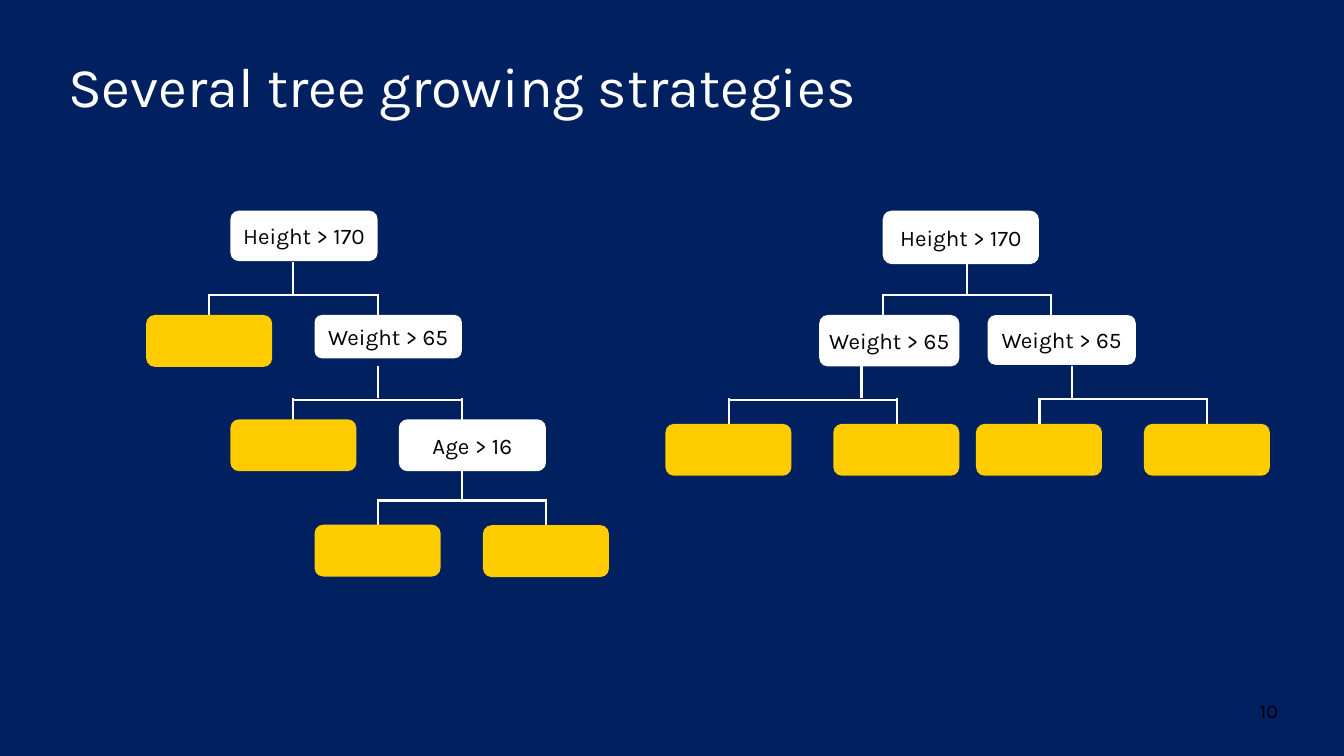
from pptx import Presentation
from pptx.dml.color import RGBColor
from pptx.enum.shapes import MSO_CONNECTOR, MSO_SHAPE
from pptx.enum.text import MSO_ANCHOR, PP_ALIGN
from pptx.oxml.ns import qn
from pptx.util import Inches, Pt
from lxml.etree import SubElement

NAVY, WHITE, YELLOW, BLACK = "002060", "FFFFFF", "FFCC00", "000000"


def color(value):
    return RGBColor.from_string(value)


class TreeSlide:
    """Holds the slide and the style of its elements."""

    font_name = "Karla"
    line_width = Pt(3)
    frame_format = {
        "word_wrap": True, "vertical_anchor": MSO_ANCHOR.MIDDLE,
        "margin_left": 0, "margin_right": 0, "margin_top": 0, "margin_bottom": 0,
    }

    def __init__(self, presentation):
        self.slide = presentation.slides.add_slide(presentation.slide_layouts[5])
        self.shapes = self.slide.shapes

    def start_group(self):
        self.shapes = self.slide.shapes.add_group_shape().shapes

    def set_text(self, shape, text, size, text_color, alignment, **frame_changes):
        for name, value in {**self.frame_format, **frame_changes}.items():
            setattr(shape.text_frame, name, value)
        paragraph = shape.text_frame.paragraphs[0]
        paragraph.alignment = alignment
        run = paragraph.add_run()
        run.text = text
        for name, value in {"name": self.font_name, "size": Pt(size)}.items():
            setattr(run.font, name, value)
        run.font.color.rgb = color(text_color)
        return paragraph

    def box(self, left, top, width, height, fill, kind=MSO_SHAPE.ROUNDED_RECTANGLE):
        shape = self.shapes.add_shape(kind, *map(Inches, (left, top, width, height)))
        shape.shadow.inherit = False
        shape.fill.solid()
        shape.fill.fore_color.rgb = color(fill)
        shape.line.fill.background()
        return shape

    def title(self, text):
        title = self.slide.shapes.title
        place = {"left": 1.25, "top": 0.83, "width": 24.2, "height": 1.65}
        for name, value in place.items():
            setattr(title, name, Inches(value))
        paragraph = self.set_text(title, text, 80, WHITE, PP_ALIGN.LEFT,
                                  margin_left=Inches(0.1))
        paragraph.line_spacing = Pt(100)

    def background(self):
        panel = self.box(-0.01, -0.01, 26.77, 15.35, NAVY, MSO_SHAPE.RECTANGLE)
        self.slide.shapes.title.element.addprevious(panel.element)

    def page_number(self, text):
        shape = self.shapes.add_textbox(*map(Inches, (24.2, 13.7, 1.15, 0.8)))
        self.set_text(shape, text, 28, BLACK, PP_ALIGN.RIGHT)

    def split(self, left, top, width, height, text):
        """A decision box with its question."""
        shape = self.box(left, top, width, height, WHITE)
        self.set_text(shape, text, 32, BLACK, PP_ALIGN.CENTER)

    def leaf(self, left, top):
        self.box(left, top, 2.5, 1.03, YELLOW)

    def line(self, x1, y1, x2, y2):
        connector = self.shapes.add_connector(
            MSO_CONNECTOR.STRAIGHT, *map(Inches, (x1, y1, x2, y2)))
        connector.line.color.rgb = color(WHITE)
        connector.line.width = self.line_width
        SubElement(connector.element.spPr, qn("a:effectLst"))

    def branch(self, stem, top, left, right, bottom):
        """A stem, a crossbar and a drop to each of two children."""
        fork = top + 0.63
        bar = fork + 0.03
        self.line(stem, top, stem, fork)
        self.line(left, bar, right, bar)
        for x in (left, right):
            self.line(x, fork, x, bottom)


def main():
    presentation = Presentation()
    presentation.slide_width = Inches(26.66)
    presentation.slide_height = Inches(15)

    tree = TreeSlide(presentation)
    tree.title("Several tree growing strategies")
    tree.background()

    # Left tree: grown leaf by leaf, each level one step to the right
    tree.start_group()
    step = 1.67
    levels = [
        ("Height > 170", 4.18, 1, 5.2),
        ("Weight > 65", 6.25, 0.86, 7.27),
        ("Age > 16", 8.32, 1.03, 9.27),
    ]
    for level, (text, top, height, stem_top) in enumerate(levels):
        stem = 5.82 + level * step
        tree.branch(stem, stem_top, stem - step, stem + step, stem_top + 1.26)
        tree.split(4.57 + level * step, top, 2.92, height, text)
    for column, top in enumerate((6.25, 8.32, 10.41)):
        tree.leaf(2.9 + column * step, top)
    tree.leaf(9.58, 10.42)

    # Right tree: grown level by level
    tree.start_group()
    tree.branch(19.18, 5.2, 17.51, 20.84, 6.46)
    tree.branch(17.09, 7.27, 14.46, 17.79, 8.43)
    tree.branch(21.26, 7.26, 20.62, 23.95, 8.42)
    tree.split(17.51, 4.18, 3.1, 1.06, "Height > 170")
    tree.split(16.25, 6.25, 2.78, 1.02, "Weight > 65")
    tree.split(19.59, 6.25, 2.94, 0.99, "Weight > 65")
    for left in (13.2, 16.53, 19.36, 22.69):
        tree.leaf(left, 8.41)

    # Page number
    tree.shapes = tree.slide.shapes
    tree.page_number("10")

    presentation.save("out.pptx")


if __name__ == "__main__":
    main()
